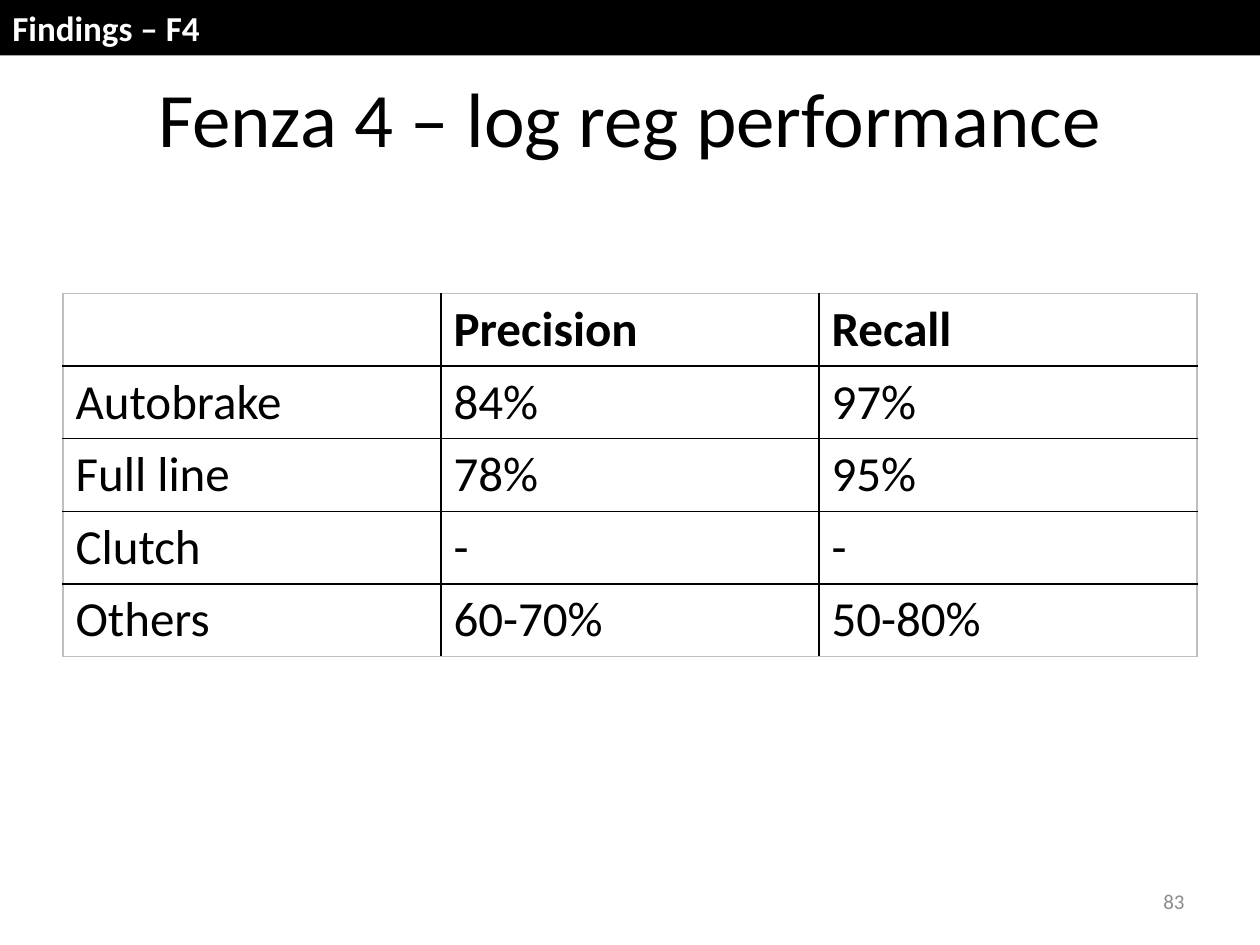
import lxml.etree
import pptx
import pptx.dml.color
import pptx.enum.shapes
import pptx.enum.text
import pptx.oxml.ns
import pptx.util

Inches = pptx.util.Inches
ALIGN = pptx.enum.text.PP_ALIGN
ANCHOR = pptx.enum.text.MSO_ANCHOR

FONT = "Calibri"
BLACK, WHITE, GREY, EDGE = "000000", "FFFFFF", "8C8C8C", "BFBFBF"

SECTION = "Findings – F4"
TITLE = "Fenza 4 – log reg performance"
PAGE_NUMBER = "83"
PERFORMANCE = [
    ("", "Precision", "Recall"),
    ("Autobrake", "84%", "97%"),
    ("Full line", "78%", "95%"),
    ("Clutch", "-", "-"),
    ("Others", "60-70%", "50-80%"),
]
TABLE_BOX = (0.5, 2.33, 9, 2.88)


def color(value):
    return pptx.dml.color.RGBColor.from_string(value)


def write(frame, text, size, fill=BLACK, bold=False, align=ALIGN.LEFT, anchor=ANCHOR.TOP):
    frame.word_wrap = True
    frame.vertical_anchor = anchor
    paragraph = frame.paragraphs[0]
    paragraph.alignment = align
    paragraph.font.size = pptx.util.Pt(size)
    if text:
        run = paragraph.add_run()
        run.text = text
        run.font.name = FONT
        run.font.size = pptx.util.Pt(size)
        run.font.bold = bold
        run.font.color.rgb = color(fill)


def add_text(slide, box, text, size, **style):
    shape = slide.shapes.add_textbox(*map(Inches, box))
    write(shape.text_frame, text, size, **style)


def add_border(cell, side, value):
    """Draw a one-point line on side L, R, T or B of the cell."""
    qn = pptx.oxml.ns.qn
    properties = cell._tc.get_or_add_tcPr()
    line = lxml.etree.SubElement(properties, qn(f"a:ln{side}"), w="12700")
    fill = lxml.etree.SubElement(line, qn("a:solidFill"))
    lxml.etree.SubElement(fill, qn("a:srgbClr"), val=value)


def add_performance_table(slide):
    row_count, column_count = len(PERFORMANCE), len(PERFORMANCE[0])
    table = slide.shapes.add_table(row_count, column_count, *map(Inches, TABLE_BOX)).table
    table.horz_banding = False
    table.first_row = False
    for r, values in enumerate(PERFORMANCE):
        for c, value in enumerate(values):
            cell = table.cell(r, c)
            outer = {"L": c == 0, "R": c == column_count - 1,
                     "T": r == 0, "B": r == row_count - 1}
            for side, is_outer in outer.items():
                add_border(cell, side, EDGE if is_outer else BLACK)
            cell.fill.background()
            write(cell.text_frame, value, 28, bold=r == 0)


def add_section_bar(slide):
    bar = slide.shapes.add_shape(pptx.enum.shapes.MSO_SHAPE.RECTANGLE,
                                 0, 0, Inches(10), Inches(0.44))
    bar.shadow.inherit = False
    bar.fill.solid()
    bar.fill.fore_color.rgb = color(BLACK)
    bar.line.fill.background()
    write(bar.text_frame, SECTION, 20, fill=WHITE, bold=True)


def main():
    presentation = pptx.Presentation()
    presentation.slide_width, presentation.slide_height = Inches(10), Inches(7.5)
    slide = presentation.slides.add_slide(presentation.slide_layouts[6])
    add_text(slide, (0.5, 0.3, 9, 1.25), TITLE, 44, align=ALIGN.CENTER, anchor=ANCHOR.MIDDLE)
    add_text(slide, (7.17, 6.95, 2.33, 0.4), PAGE_NUMBER, 12, fill=GREY,
             align=ALIGN.RIGHT, anchor=ANCHOR.MIDDLE)
    add_performance_table(slide)
    add_section_bar(slide)
    presentation.save("out.pptx")


if __name__ == "__main__":
    main()
